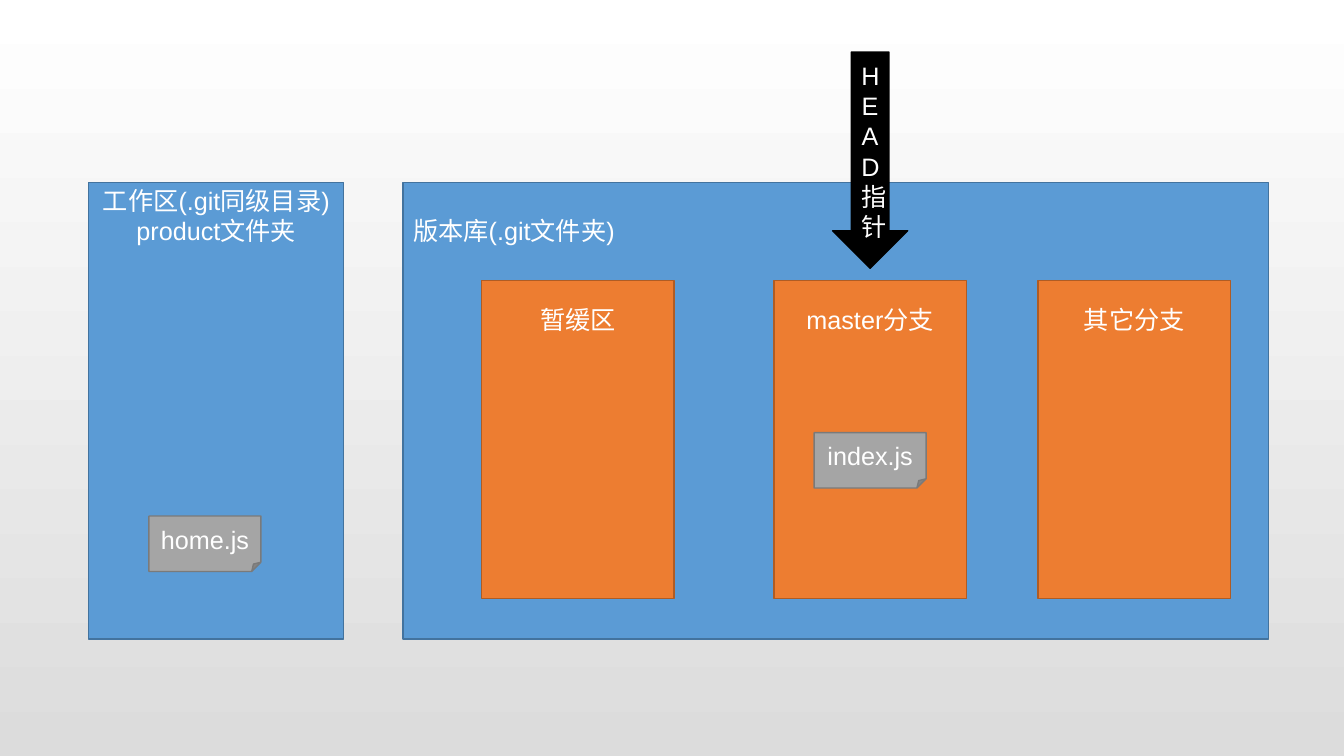
from pptx import Presentation
from pptx.dml.color import RGBColor
from pptx.enum import shapes, text
from pptx.util import Pt

SLIDE_SIZE = (960, 540)
BACKGROUND = ("FFFFFF", "DCDCDC")
WHITE = "FFFFFF"
BLUE = ("5B9BD5", "43739E")
ORANGE = ("ED7D31", "AF5C24")
BLACK = ("000000", "000000")
GRAY = ("A5A5A5", "7A7A7A")

AREA_TOP, AREA_HEIGHT = 130.3, 326.2
AREAS = [
    (63.4, 182.2, 2.2, text.PP_ALIGN.CENTER, ["工作区(.git同级目录)", "product文件夹"]),
    (288, 618, 23.5, text.PP_ALIGN.LEFT, ["版本库(.git文件夹)"]),
]
BRANCH_TOP, BRANCH_WIDTH, BRANCH_HEIGHT, BRANCH_INSET = 200.5, 137.5, 227, 17
BRANCHES = [(344, "暂缓区"), (552.8, "master分支"), (741.5, "其它分支")]
MASTER_CENTER = BRANCHES[1][0] + BRANCH_WIDTH / 2
HEAD_TOP, HEAD_WIDTH, HEAD_HEIGHT = 37.2, 53.6, 154.5
HEAD_LINES = ["H", "E", "A", "D指针"]
FILE_WIDTH, FILE_HEIGHT = 80, 39.6
FILES = [(MASTER_CENTER, 309, "index.js"), (146.4, 368.6, "home.js")]


def color(value):
    return RGBColor.from_string(value)


def add_block(slide, kind, box, colors, lines, align=text.PP_ALIGN.CENTER, top_inset=None):
    block = slide.shapes.add_shape(kind, *(Pt(length) for length in box))
    block.shadow.inherit = False
    block.fill.solid()
    block.fill.fore_color.rgb = color(colors[0])
    block.line.color.rgb = color(colors[1])
    block.line.width = Pt(1)
    frame = block.text_frame
    frame.word_wrap = True
    frame.vertical_anchor = text.MSO_ANCHOR.MIDDLE
    if top_inset is not None:
        frame.vertical_anchor = text.MSO_ANCHOR.TOP
        frame.margin_top = Pt(top_inset)
    for index, line in enumerate(lines):
        paragraph = frame.add_paragraph() if index else frame.paragraphs[0]
        paragraph.alignment = align
        run = paragraph.add_run()
        run.text = line
        run.font.name = "Arial"
        run.font.size = Pt(18)
        run.font.color.rgb = color(WHITE)


def main():
    deck = Presentation()
    deck.slide_width, deck.slide_height = (Pt(length) for length in SLIDE_SIZE)
    slide = deck.slides.add_slide(deck.slide_layouts[6])
    backdrop = slide.background.fill
    backdrop.gradient()
    backdrop.gradient_angle = 270
    for stop, shade in zip(backdrop.gradient_stops, BACKGROUND):
        stop.color.rgb = color(shade)

    kinds = shapes.MSO_SHAPE
    for left, width, inset, align, lines in AREAS:
        box = (left, AREA_TOP, width, AREA_HEIGHT)
        add_block(slide, kinds.RECTANGLE, box, BLUE, lines, align, inset)
    for left, branch in BRANCHES:
        box = (left, BRANCH_TOP, BRANCH_WIDTH, BRANCH_HEIGHT)
        add_block(slide, kinds.RECTANGLE, box, ORANGE, [branch], top_inset=BRANCH_INSET)
    head_box = (MASTER_CENTER - HEAD_WIDTH / 2, HEAD_TOP, HEAD_WIDTH, HEAD_HEIGHT)
    add_block(slide, kinds.DOWN_ARROW, head_box, BLACK, HEAD_LINES)
    for center, top, file in FILES:
        box = (center - FILE_WIDTH / 2, top, FILE_WIDTH, FILE_HEIGHT)
        add_block(slide, kinds.FOLDED_CORNER, box, GRAY, [file])

    deck.save("out.pptx")


if __name__ == "__main__":
    main()
